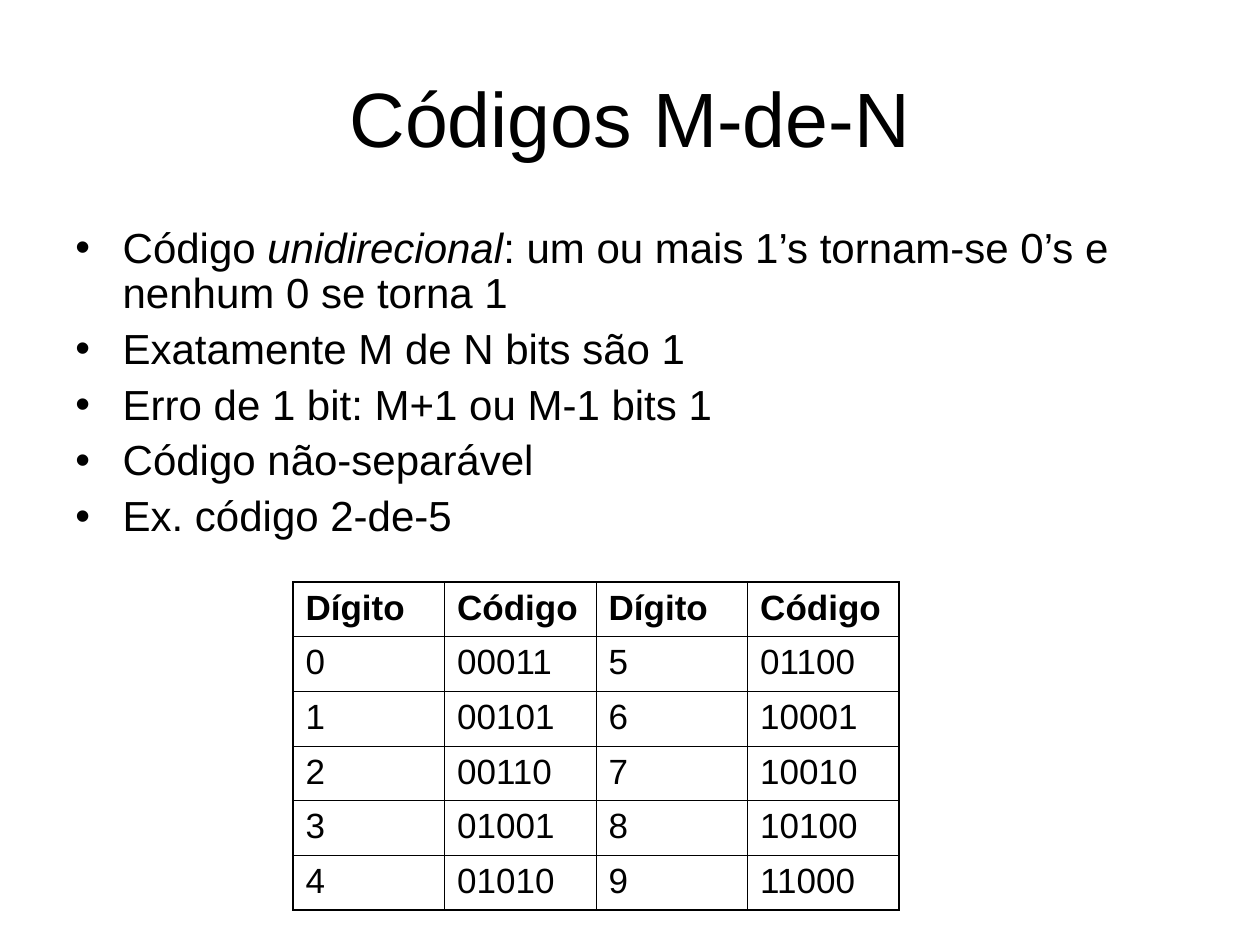
from dataclasses import dataclass

from lxml import etree
from pptx import Presentation
from pptx.dml.color import RGBColor
from pptx.enum.text import MSO_ANCHOR, PP_ALIGN
from pptx.oxml.ns import qn
from pptx.util import Pt

MIDDLE, TOP = MSO_ANCHOR.MIDDLE, MSO_ANCHOR.TOP
CENTER, LEFT = PP_ALIGN.CENTER, PP_ALIGN.LEFT


@dataclass(frozen=True)
class Theme:
    font: str = "Arial"
    ink: str = "000000"
    paper: str = "FFFFFF"
    title: float = 44
    body: float = 24
    cell: float = 20
    inner: float = 0.45
    outer: float = 1.08


theme = Theme()


def add_run(para, text, size, **extra):
    run = para.add_run()
    run.text = text
    look = {"name": theme.font, "size": Pt(size), **extra}
    for key, value in look.items():
        setattr(run.font, key, value)
    run.font.color.rgb = RGBColor.from_string(theme.ink)


def add_box(left, top, width, height, anchor):
    box = slide.shapes.add_textbox(Pt(left), Pt(top), Pt(width), Pt(height))
    frame = box.text_frame
    look = {"word_wrap": True, "vertical_anchor": anchor}
    for key, value in look.items():
        setattr(frame, key, value)
    return frame


# Slide
deck = Presentation()
deck.slide_width, deck.slide_height = Pt(720), Pt(540)
slide = deck.slides.add_slide(deck.slide_layouts[6])
slide.background.fill.solid()
slide.background.fill.fore_color.rgb = RGBColor.from_string(theme.paper)

# Title
para = add_box(36, 21.6, 648, 90, MIDDLE).paragraphs[0]
para.alignment = CENTER
add_run(para, "Códigos M-de-N", theme.title)

# Bullet list: each item is a list of (text, italic) runs
items = [
    [("Código ", False), ("unidirecional", True),
     (": um ou mais 1’s tornam-se 0’s e nenhum 0 se torna 1", False)],
    [("Exatamente M de N bits são 1", False)],
    [("Erro de 1 bit: M+1 ou M-1 bits 1", False)],
    [("Código não-separável", False)],
    [("Ex. código 2-de-5", False)],
]
frame = add_box(36, 126, 641.5, 201, TOP)
for i, item in enumerate(items):
    para = frame.add_paragraph() if i else frame.paragraphs[0]
    look = {"alignment": LEFT, "line_spacing": 0.9, "space_before": Pt(6 if i else 0)}
    for key, value in look.items():
        setattr(para, key, value)
    props = para._p.get_or_add_pPr()
    props.set("marL", str(Pt(27)))
    props.set("indent", str(Pt(-27)))
    etree.SubElement(props, qn("a:buFont"), typeface=theme.font)
    etree.SubElement(props, qn("a:buChar"), char="•")
    for text, slant in item:
        add_run(para, text, theme.body, italic=slant)

# Table of the 2-of-5 code: digits 0-4 on the left, 5-9 on the right
codes = ["00011", "00101", "00110", "01001", "01010",
         "01100", "10001", "10010", "10100", "11000"]
half = len(codes) // 2
rows = [["Dígito", "Código"] * 2]
rows += [[str(n), codes[n], str(n + half), codes[n + half]] for n in range(half)]
last_row, last_col = len(rows) - 1, len(rows[0]) - 1

table = slide.shapes.add_table(
    len(rows), len(rows[0]), Pt(167.4), Pt(332.6), Pt(346.4), Pt(186.6)).table
table.first_row = table.horz_banding = False
for col in table.columns:
    col.width = Pt(86.6)
for row in table.rows:
    row.height = Pt(31.1)

for r, row in enumerate(rows):
    for c, text in enumerate(row):
        cell = table.cell(r, c)
        add_run(cell.text_frame.paragraphs[0], text, theme.cell, bold=r == 0)
        # Borders: heavier on the outer edge
        props = cell._tc.get_or_add_tcPr()
        edges = {"a:lnL": c == 0, "a:lnR": c == last_col,
                 "a:lnT": r == 0, "a:lnB": r == last_row}
        for tag, rim in edges.items():
            width = Pt(theme.outer if rim else theme.inner)
            line = etree.SubElement(props, qn(tag), w=str(width))
            fill = etree.SubElement(line, qn("a:solidFill"))
            etree.SubElement(fill, qn("a:srgbClr"), val=theme.ink)
        cell.fill.background()

deck.save("out.pptx")
